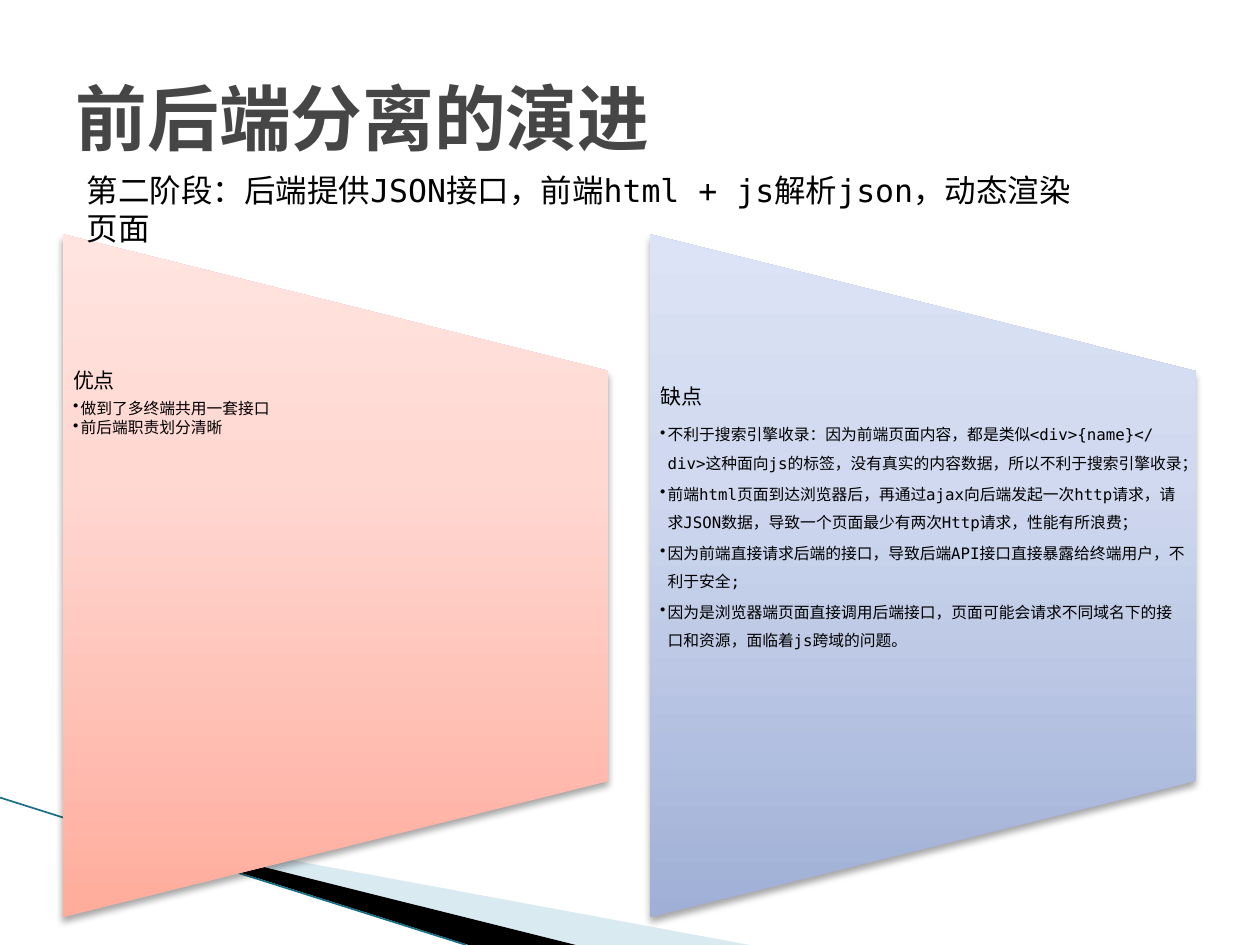
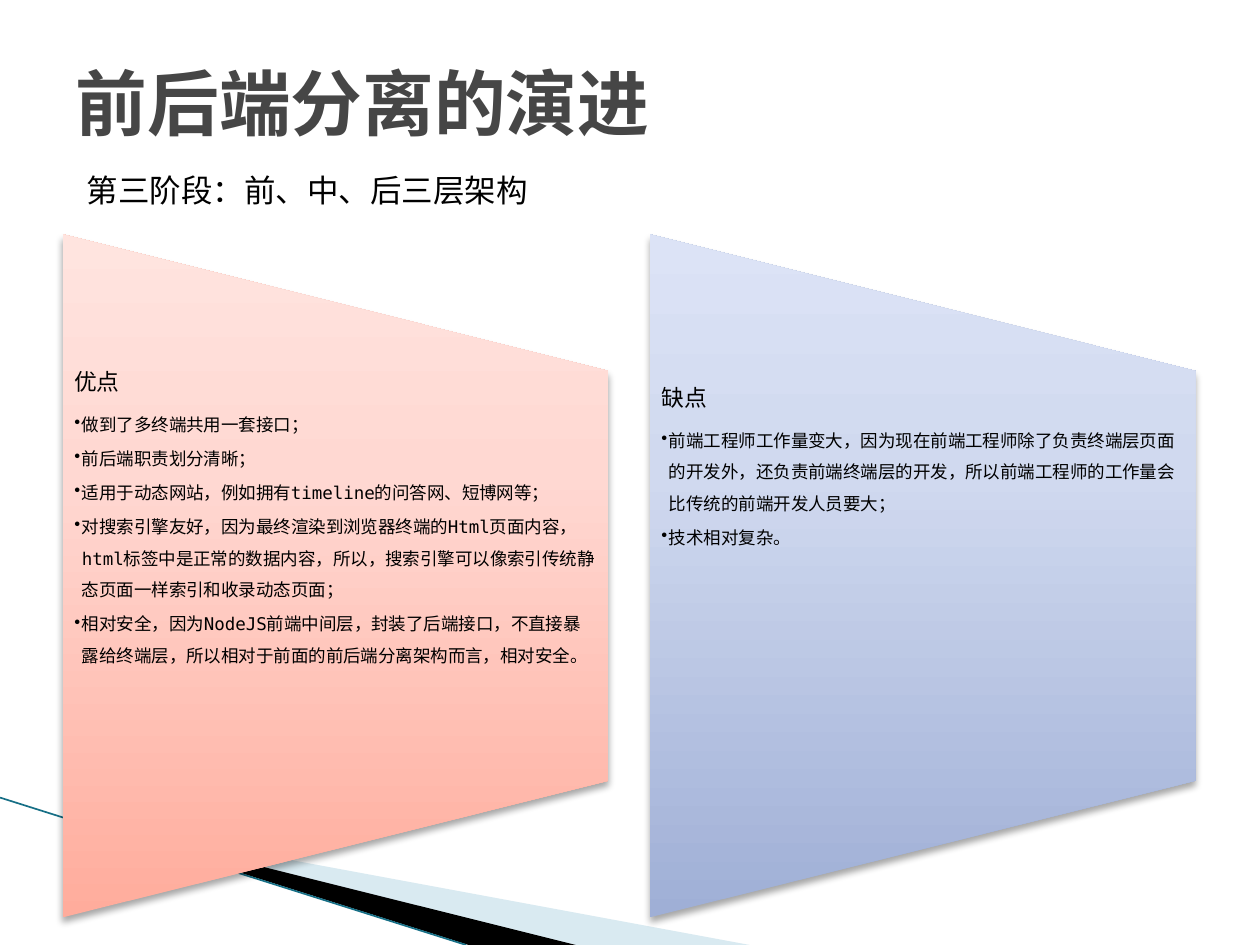
"""Build two slides on how front end and back end came to be split."""
import copy
from dataclasses import dataclass

import lxml.etree
import pptx
import pptx.dml.color
import pptx.enum.shapes
import pptx.enum.text
import pptx.oxml.ns
import pptx.util

Inches = pptx.util.Inches
FONT = "DejaVu Sans Mono"
COLORS = {
    "title": "464646", "text": "000000", "band": "000000",
    "pale": "A0CBDC", "line": "166F86",
}
PROS = ((0, "FFAC9C"), (0.65, "FFD8D2"), (1, "FFE4DF"))
CONS = ((0, "9FAFD6"), (0.65, "D0D9EF"), (1, "DCE3F6"))
PANEL_W, PANEL_H, PANEL_TOP = 4.33, 5.42, 1.86
BODY_TOP, BODY_H = 2.94, 3.25


@dataclass
class Panel:
    left: float
    stops: tuple
    head: str
    items: tuple
    lead: float = 1.5
    gap: float = 1.5


@dataclass
class Page:
    title_h: float
    stage: str
    width: float
    size: int
    inset: float
    panels: tuple


def rgb(value: str):
    return pptx.dml.color.RGBColor.from_string(value)


def sub(node, tag: str, **attrs):
    return lxml.etree.SubElement(node, pptx.oxml.ns.qn(tag), attrs)


def write(frame, text: str, *, size: float, color: str = "text", bold: bool = False,
          lead: float = 1, after: int = 0, bullet: bool = False) -> None:
    para = frame.paragraphs[0] if not frame.text else frame.add_paragraph()
    para.alignment = pptx.enum.text.PP_ALIGN.LEFT
    para.line_spacing = lead
    props = para._p.get_or_add_pPr()
    sub(sub(props, "a:spcAft"), "a:spcPct", val=str(after * 1000))
    if bullet:
        para.level = 1
        props.set("marL", str(Inches(0.06)))
        props.set("indent", str(Inches(-0.06)))
        sub(props, "a:buChar", char="•")
    run = para.add_run()
    run.text = text
    run.font.size = pptx.util.Pt(size)
    run.font.bold = bold
    run.font.name = FONT
    run.font.color.rgb = rgb(COLORS[color])
    sub(run._r.get_or_add_rPr(), "a:ea", typeface=FONT)


def add_box(slide, left: float, top: float, width: float, height: float):
    box = slide.shapes.add_textbox(Inches(left), Inches(top), Inches(width), Inches(height))
    box.text_frame.word_wrap = True
    return box.text_frame


def add_wedge(slide, points: tuple, color: str, alpha: int = 100) -> None:
    spots = [(Inches(x), Inches(y)) for x, y in points]
    path = slide.shapes.build_freeform(*spots[0])
    path.add_line_segments(spots[1:])
    shape = path.convert_to_shape()
    shape.shadow.inherit = False
    shape.line.fill.background()
    shape.fill.solid()
    shape.fill.fore_color.rgb = rgb(COLORS[color])
    tint = shape._element.spPr.find(".//" + pptx.oxml.ns.qn("a:srgbClr"))
    sub(tint, "a:alpha", val=str(alpha * 1000))


def add_swoosh(slide) -> None:
    add_wedge(slide, ((0.55, 6.5), (5.95, 7.5), (4.56, 7.5)), "pale", 40)
    add_wedge(slide, ((0.53, 6.49), (4.57, 7.5), (3.72, 7.5)), "band")
    line = slide.shapes.add_connector(
        pptx.enum.shapes.MSO_CONNECTOR.STRAIGHT,
        Inches(0), Inches(6.33), Inches(3.7), Inches(7.5))
    line.line.color.rgb = rgb(COLORS["line"])
    line.line.width = pptx.util.Pt(0.95)
    sub(line._element.spPr, "a:effectLst")


def add_panel(slide, panel: Panel, page: Page) -> None:
    shift = (PANEL_H - PANEL_W) / 2
    shape = slide.shapes.add_shape(
        pptx.enum.shapes.MSO_SHAPE.FLOWCHART_MANUAL_OPERATION,
        Inches(panel.left - shift), Inches(PANEL_TOP + shift),
        Inches(PANEL_H), Inches(PANEL_W))
    shape.rotation = 270
    shape.line.fill.background()
    shape.fill.gradient()
    shape.fill.gradient_angle = 90
    props = shape._element.spPr
    grad = props.find(pptx.oxml.ns.qn("a:gradFill"))
    grad.set("rotWithShape", "0")
    grad[0].append(copy.deepcopy(grad[0][0]))
    for stop, (spot, color) in zip(shape.fill.gradient_stops, panel.stops):
        stop.position = spot
        stop.color.rgb = rgb(color)
    shape.shadow.inherit = False
    shade = sub(props.find(pptx.oxml.ns.qn("a:effectLst")), "a:outerShdw",
                blurRad=str(pptx.util.Pt(4)), dist=str(pptx.util.Pt(3)),
                dir="5400000", rotWithShape="0")
    sub(sub(shade, "a:srgbClr", val="000000"), "a:alpha", val="35000")

    frame = add_box(slide, panel.left, BODY_TOP, PANEL_W, BODY_H)
    frame.margin_left = frame.margin_right = Inches(page.inset)
    frame.margin_top = frame.margin_bottom = 0
    write(frame, panel.head, size=page.size, lead=panel.lead, after=35)
    for item in panel.items:
        write(frame, item, size=page.size - 3, lead=panel.gap, after=15, bullet=True)


def add_page(deck, page: Page) -> None:
    slide = deck.slides.add_slide(deck.slide_layouts[5])
    add_swoosh(slide)
    for panel in page.panels:
        add_panel(slide, panel, page)
    title = slide.shapes.title
    title.left, title.top = Inches(0.5), Inches(0.3)
    title.width, title.height = Inches(9), Inches(page.title_h)
    title.text_frame.vertical_anchor = pptx.enum.text.MSO_ANCHOR.MIDDLE
    write(title.text_frame, "前后端分离的演进", size=41, color="title", bold=True)
    write(add_box(slide, 0.59, 1.31, page.width, 0.4), page.stage, size=18)


PAGES = (
    Page(1.25, "第二阶段：后端提供JSON接口，前端html + js解析json，动态渲染页面", 8.25, 12, 0.08, (
        Panel(0.5, PROS, "优点", (
            "做到了多终端共用一套接口",
            "前后端职责划分清晰",
        ), lead=0.9, gap=0.9),
        Panel(5.16, CONS, "缺点", (
            "不利于搜索引擎收录：因为前端页面内容，都是类似<div>{name}</div>这种面向js的标签，"
            "没有真实的内容数据，所以不利于搜索引擎收录；",
            "前端html页面到达浏览器后，再通过ajax向后端发起一次http请求，请求JSON数据，"
            "导致一个页面最少有两次Http请求，性能有所浪费；",
            "因为前端直接请求后端的接口，导致后端API接口直接暴露给终端用户，不利于安全;",
            "因为是浏览器端页面直接调用后端接口，页面可能会请求不同域名下的接口和资源，"
            "面临着js跨域的问题。",
        )),
    )),
    Page(1.01, "第三阶段：前、中、后三层架构", 3.74, 13, 0.09, (
        Panel(0.5, PROS, "优点", (
            "做到了多终端共用一套接口；",
            "前后端职责划分清晰；",
            "适用于动态网站，例如拥有timeline的问答网、短博网等；",
            "对搜索引擎友好，因为最终渲染到浏览器终端的Html页面内容，html标签中是正常的数据内容，"
            "所以，搜索引擎可以像索引传统静态页面一样索引和收录动态页面；",
            "相对安全，因为NodeJS前端中间层，封装了后端接口，不直接暴露给终端层，"
            "所以相对于前面的前后端分离架构而言，相对安全。",
        ), lead=0.9),
        Panel(5.16, CONS, "缺点", (
            "前端工程师工作量变大，因为现在前端工程师除了负责终端层页面的开发外，"
            "还负责前端终端层的开发，所以前端工程师的工作量会比传统的前端开发人员要大；",
            "技术相对复杂。",
        )),
    )),
)

deck = pptx.Presentation()
deck.slide_width, deck.slide_height = Inches(10), Inches(7.5)
for page in PAGES:
    add_page(deck, page)
deck.save("out.pptx")
